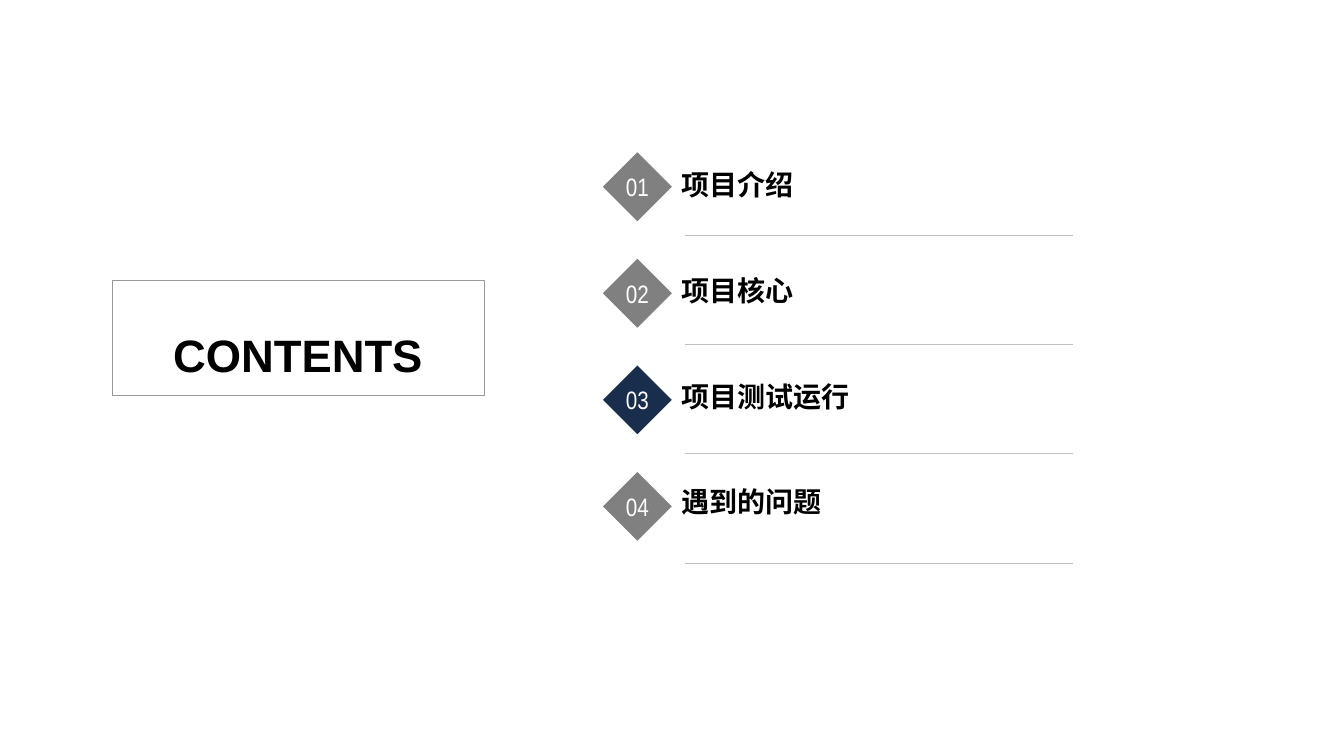
import pptx
import pptx.util
import pptx.dml.color
import pptx.enum.shapes
import pptx.enum.text
import pptx.oxml
import pptx.oxml.ns

Pt = pptx.util.Pt

TITLE = "CONTENTS"
TOPICS = ["项目介绍", "项目核心", "项目测试运行", "遇到的问题"]
CURRENT_TOPIC = 3
COLORS = {
    "text": "000000",
    "number": "FFFFFF",
    "diamond": "808080",
    "current": "192D4C",
    "frame": "999999",
    "rule": "BFBFBF",
}

TITLE_BOX = (79.9, 200.4, 265.7, 81.9)
TITLE_INSET = 33.3
DIAMOND_LEFT, DIAMOND_TOP, DIAMOND_SIZE, DIAMOND_PITCH = 430.7, 108.8, 49.2, 76.1
LABEL_LEFT, LABEL_TOP, LABEL_WIDTH, LABEL_HEIGHT, LABEL_PITCH = 479.5, 122.2, 300, 25.2, 75.5
RULE_LEFT, RULE_RIGHT, RULE_TOP, RULE_PITCH = 489, 766.5, 168, 78


def rgb(name):
    return pptx.dml.color.RGBColor.from_string(COLORS[name])


def write(shape, text, size, font, color, bold, alignment, anchor, insets, wrap):
    frame = shape.text_frame
    frame.auto_size = pptx.enum.text.MSO_AUTO_SIZE.NONE
    frame.word_wrap = wrap
    frame.vertical_anchor = anchor
    frame.margin_left, frame.margin_top, frame.margin_right, frame.margin_bottom = map(Pt, insets)
    frame.text = text
    paragraph = frame.paragraphs[0]
    paragraph.alignment = alignment
    for run in paragraph.runs:
        run.font.size = Pt(size)
        run.font.name = font
        run.font.bold = bold
        run.font.color.rgb = rgb(color)


def add_title(slide):
    title = slide.shapes.title
    title.left, title.top, title.width, title.height = map(Pt, TITLE_BOX)
    title.line.color.rgb = rgb("frame")
    title.line.width = Pt(0.25)
    write(title, TITLE, 32.4, "Arial", "text", True,
          pptx.enum.text.PP_ALIGN.CENTER, pptx.enum.text.MSO_ANCHOR.TOP,
          (7.2, TITLE_INSET, 7.2, 3.6), True)


def add_diamond(slide, index):
    number = index + 1
    diamond = slide.shapes.add_shape(
        pptx.enum.shapes.MSO_SHAPE.DIAMOND, Pt(DIAMOND_LEFT),
        Pt(DIAMOND_TOP + index * DIAMOND_PITCH), Pt(DIAMOND_SIZE), Pt(DIAMOND_SIZE))
    diamond.shadow.inherit = False
    diamond.fill.solid()
    diamond.fill.fore_color.rgb = rgb("current" if number == CURRENT_TOPIC else "diamond")
    diamond.line.fill.background()
    write(diamond, f"{number:02d}", 18, "Arial Narrow", "number", False,
          pptx.enum.text.PP_ALIGN.CENTER, pptx.enum.text.MSO_ANCHOR.MIDDLE,
          (0, 0, 0, 0), False)


def add_label(slide, index, topic):
    label = slide.shapes.add_textbox(
        Pt(LABEL_LEFT), Pt(LABEL_TOP + index * LABEL_PITCH), Pt(LABEL_WIDTH), Pt(LABEL_HEIGHT))
    write(label, topic, 20, "Arial", "text", True,
          pptx.enum.text.PP_ALIGN.LEFT, pptx.enum.text.MSO_ANCHOR.BOTTOM,
          (7.2, 3.6, 7.2, 3.6), True)


def add_rule(slide, index):
    height = Pt(RULE_TOP + index * RULE_PITCH)
    rule = slide.shapes.add_connector(
        pptx.enum.shapes.MSO_CONNECTOR.STRAIGHT, Pt(RULE_LEFT), height, Pt(RULE_RIGHT), height)
    rule.line.color.rgb = rgb("rule")
    rule.line.width = Pt(0.25)
    properties = rule._element.spPr
    properties.append(pptx.oxml.parse_xml(
        f"<a:effectLst {pptx.oxml.ns.nsdecls('a')}/>"))


def main():
    presentation = pptx.Presentation()
    presentation.slide_width = Pt(960)
    presentation.slide_height = Pt(540)
    slide = presentation.slides.add_slide(presentation.slide_layouts.get_by_name("Title Only"))
    add_title(slide)
    for index, topic in enumerate(TOPICS):
        add_diamond(slide, index)
        add_label(slide, index, topic)
        add_rule(slide, index)
    presentation.save("out.pptx")


if __name__ == "__main__":
    main()
